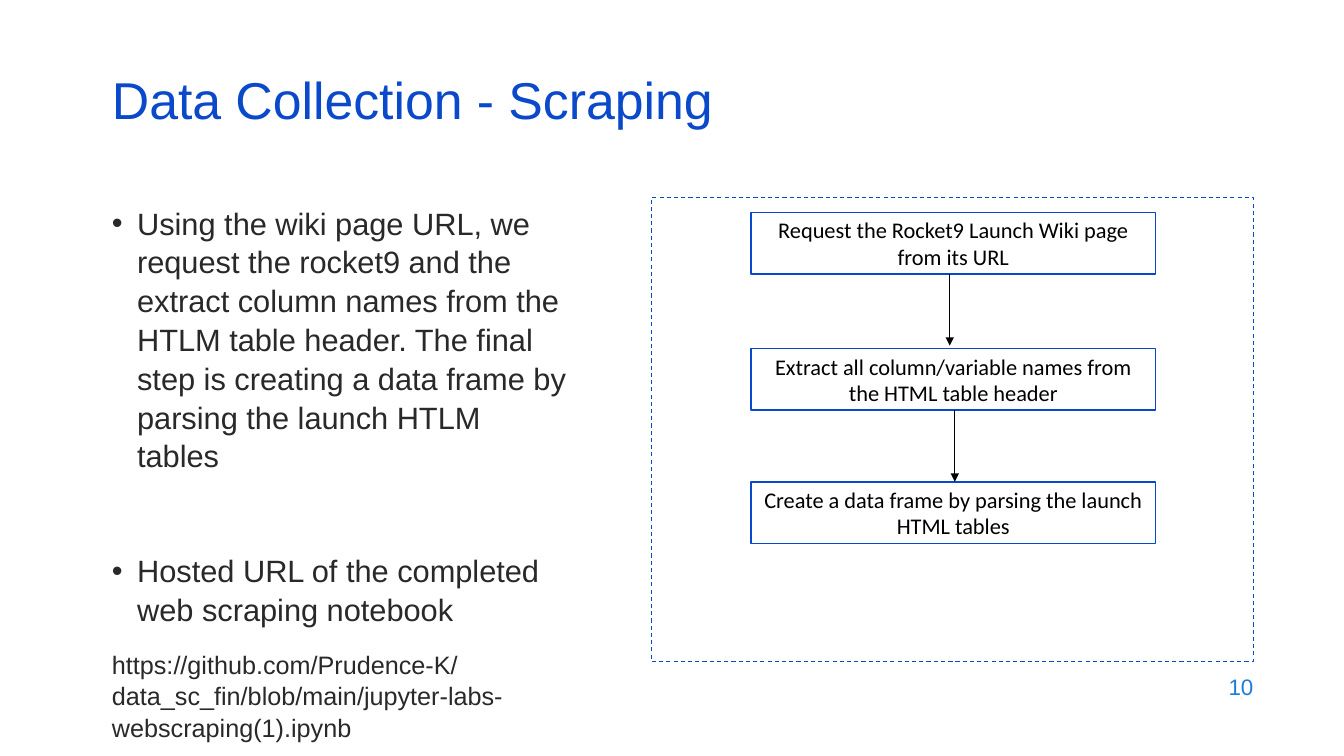
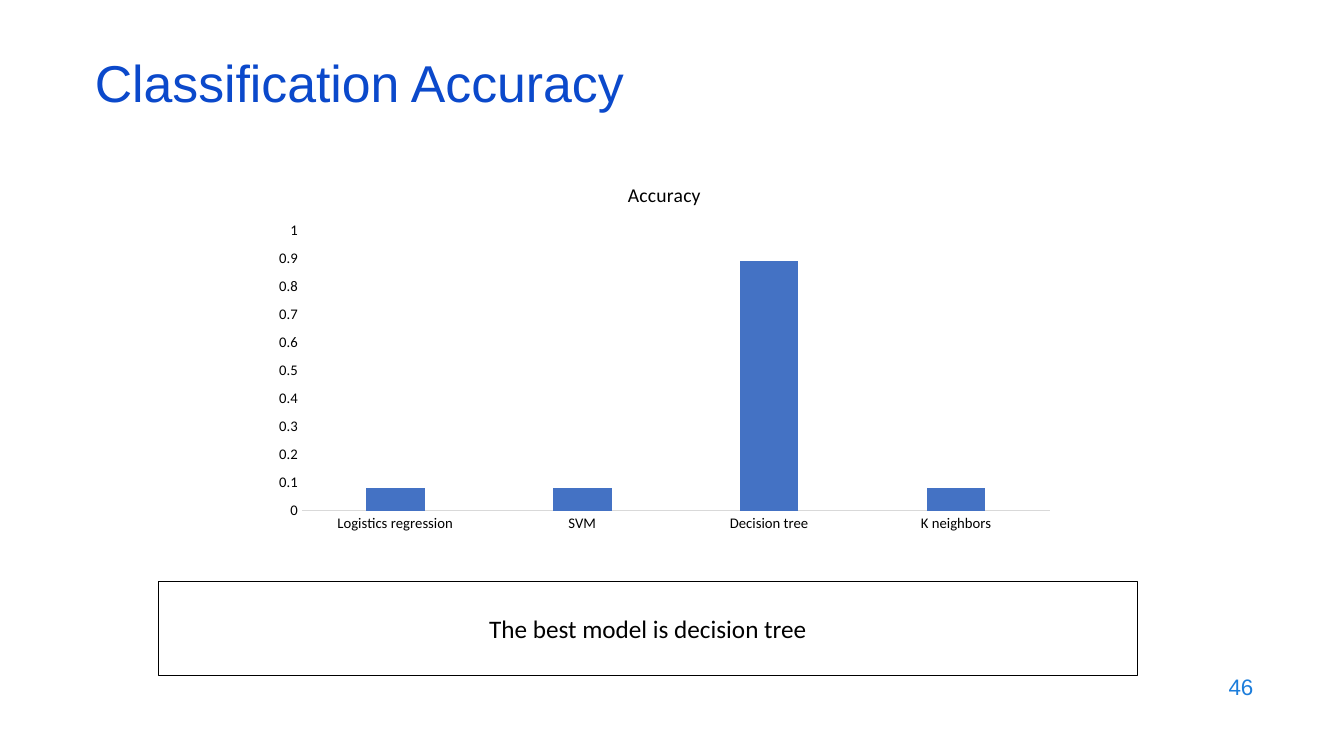
"""Build two slides: a web scraping flow and a chart of model accuracy."""
from lxml.etree import SubElement
from pptx import Presentation
from pptx.chart.data import CategoryChartData
from pptx.dml.color import RGBColor
from pptx.enum.chart import XL_CHART_TYPE, XL_TICK_MARK
from pptx.enum.dml import MSO_LINE
from pptx.enum.shapes import MSO_CONNECTOR, MSO_SHAPE
from pptx.enum.text import MSO_ANCHOR, MSO_AUTO_SIZE, PP_ALIGN
from pptx.oxml.ns import qn
from pptx.util import Inches, Pt

HUES = {
    "title": "0B49CB", "body": "292929", "page": "1C7DDB", "edge": "0948CB",
    "ink": "000000", "paper": "FFFFFF", "bar": "4472C4", "axis": "D9D9D9",
}
RGB = {name: RGBColor.from_string(code) for name, code in HUES.items()}


def write(para, text, size, face, hue):
    """Add one styled run to a paragraph."""
    run = para.add_run()
    run.text = text
    run.font.size = Pt(size)
    run.font.name = face
    run.font.color.rgb = RGB[hue]


def frame(slide, place, hue, width, text="", size=16):
    """Draw an outlined rectangle with centred text."""
    box = slide.shapes.add_shape(MSO_SHAPE.RECTANGLE, *map(Inches, place))
    box.shadow.inherit = False
    box.fill.background()
    box.line.color.rgb = RGB[hue]
    box.line.width = Pt(width)
    if text:
        box.text_frame.word_wrap = True
        box.text_frame.vertical_anchor = MSO_ANCHOR.MIDDLE
        para = box.text_frame.paragraphs[0]
        para.alignment = PP_ALIGN.CENTER
        write(para, text, size, "Calibri", "ink")
    return box


deck = Presentation()
deck.slide_width = Inches(13.33)
deck.slide_height = Inches(7.5)

slides = []
for layout, title, left, top, page in (
    (1, "Data Collection - Scraping", 1.01, 0.76, "10"),
    (5, "Classification Accuracy", 0.84, 0.59, "46"),
):
    slide = deck.slides.add_slide(deck.slide_layouts[layout])
    head = slide.shapes.title
    head.left, head.top = Inches(left), Inches(top)
    head.width, head.height = Inches(11.5), Inches(0.6)
    head.text_frame.auto_size = MSO_AUTO_SIZE.NONE
    head.text_frame.vertical_anchor = MSO_ANCHOR.MIDDLE
    para = head.text_frame.paragraphs[0]
    para.alignment = PP_ALIGN.LEFT
    para.line_spacing = 0.7
    write(para, title, 37, "Arial", "title")

    foot = slide.shapes.add_textbox(Inches(9.53), Inches(6.59), Inches(3), Inches(0.44))
    foot.text_frame.word_wrap = True
    foot.text_frame.vertical_anchor = MSO_ANCHOR.MIDDLE
    para = foot.text_frame.paragraphs[0]
    para.alignment = PP_ALIGN.RIGHT
    write(para, page, 16, "Arial", "page")
    slides.append(slide)

scrape, score = slides

body = scrape.placeholders[1]
body.left, body.top = Inches(1.01), Inches(1.96)
body.width, body.height = Inches(4.75), Inches(4.17)
body.text_frame.auto_size = MSO_AUTO_SIZE.NONE
items = (
    ("Using the wiki page URL, we request the rocket9 and the extract column names "
     "from the HTLM table header. The final step is creating a data frame by "
     "parsing the launch HTLM tables", 22, 0, True),
    ("Hosted URL of the completed web scraping notebook", 22, 54.4, True),
    ("https://github.com/Prudence-K/data_sc_fin/blob/main/"
     "jupyter-labs-webscraping(1).ipynb", 18, 14, False),
)
for index, (text, size, gap, dot) in enumerate(items):
    para = body.text_frame.add_paragraph() if index else body.text_frame.paragraphs[0]
    props = para._p.get_or_add_pPr()
    indent = Inches(0.25) if dot else 0
    props.set("marL", str(indent))
    props.set("indent", str(-indent))
    if dot:
        SubElement(props, qn("a:buChar")).set("char", "•")
    else:
        SubElement(props, qn("a:buNone"))
    para.alignment = PP_ALIGN.LEFT
    para.line_spacing = 1.05
    para.space_before = Pt(gap)
    write(para, text, size, "Arial", "body")

panel = frame(scrape, (6.46, 1.96, 5.97, 4.6), "title", 0.75)
panel.line.dash_style = MSO_LINE.DASH

steps = (
    ("Request the Rocket9 Launch Wiki page from its URL", 2.11),
    ("Extract all column/variable names from the HTML table header", 3.46),
    ("Create a data frame by parsing the launch HTML tables", 4.78),
)
for text, top in steps:
    step = frame(scrape, (7.45, top, 4.01, 0.61), "edge", 1, text)
    step.fill.solid()
    step.fill.fore_color.rgb = RGB["paper"]

for x, top in ((9.42, 2.72), (9.47, 4.07)):
    arrow = scrape.shapes.add_connector(
        MSO_CONNECTOR.STRAIGHT, Inches(x), Inches(top), Inches(x), Inches(top + 0.71))
    arrow.line.color.rgb = RGB["ink"]
    arrow.line.width = Pt(0.5)
    SubElement(arrow.line._get_or_add_ln(), qn("a:tailEnd")).set("type", "triangle")
    SubElement(arrow._element.spPr, qn("a:effectLst"))

data = CategoryChartData()
data.categories = ["Logistics regression", "SVM", "Decision tree", "K neighbors"]
data.add_series("Accuracy", (0.08, 0.08, 0.89, 0.08))
chart = score.shapes.add_chart(
    XL_CHART_TYPE.COLUMN_CLUSTERED,
    Inches(2.61), Inches(1.64), Inches(7.96), Inches(3.72), data).chart
chart.font.size = Pt(10)
chart.font.name = "Calibri"
chart.font.color.rgb = RGB["ink"]
chart.has_legend = False
chart.has_title = True
write(chart.chart_title.text_frame.paragraphs[0], "Accuracy", 14, "Calibri", "ink")
chart.chart_title.text_frame.paragraphs[0].runs[0].font.bold = False
chart.chart_title.include_in_layout = False

plot = chart.plots[0]
plot.vary_by_categories = False
plot.gap_width = 219
plot.overlap = -27
bars = plot.series[0]
bars.format.fill.solid()
bars.format.fill.fore_color.rgb = RGB["bar"]

for axis in (chart.category_axis, chart.value_axis):
    axis.has_major_gridlines = False
    axis.major_tick_mark = XL_TICK_MARK.NONE
    axis.minor_tick_mark = XL_TICK_MARK.NONE
    axis.tick_labels.font.size = Pt(10.5)
    axis.tick_labels.font.name = "Calibri"
    axis.tick_labels.font.color.rgb = RGB["ink"]
chart.category_axis.format.line.color.rgb = RGB["axis"]
chart.category_axis.format.line.width = Pt(0.75)
chart.value_axis.format.line.fill.background()
chart.value_axis.minimum_scale = 0
chart.value_axis.maximum_scale = 1
chart.value_axis.major_unit = 0.1

frame(score, (1.57, 5.77, 9.71, 0.93), "ink", 1, "The best model is decision tree", 18)

deck.save("out.pptx")
